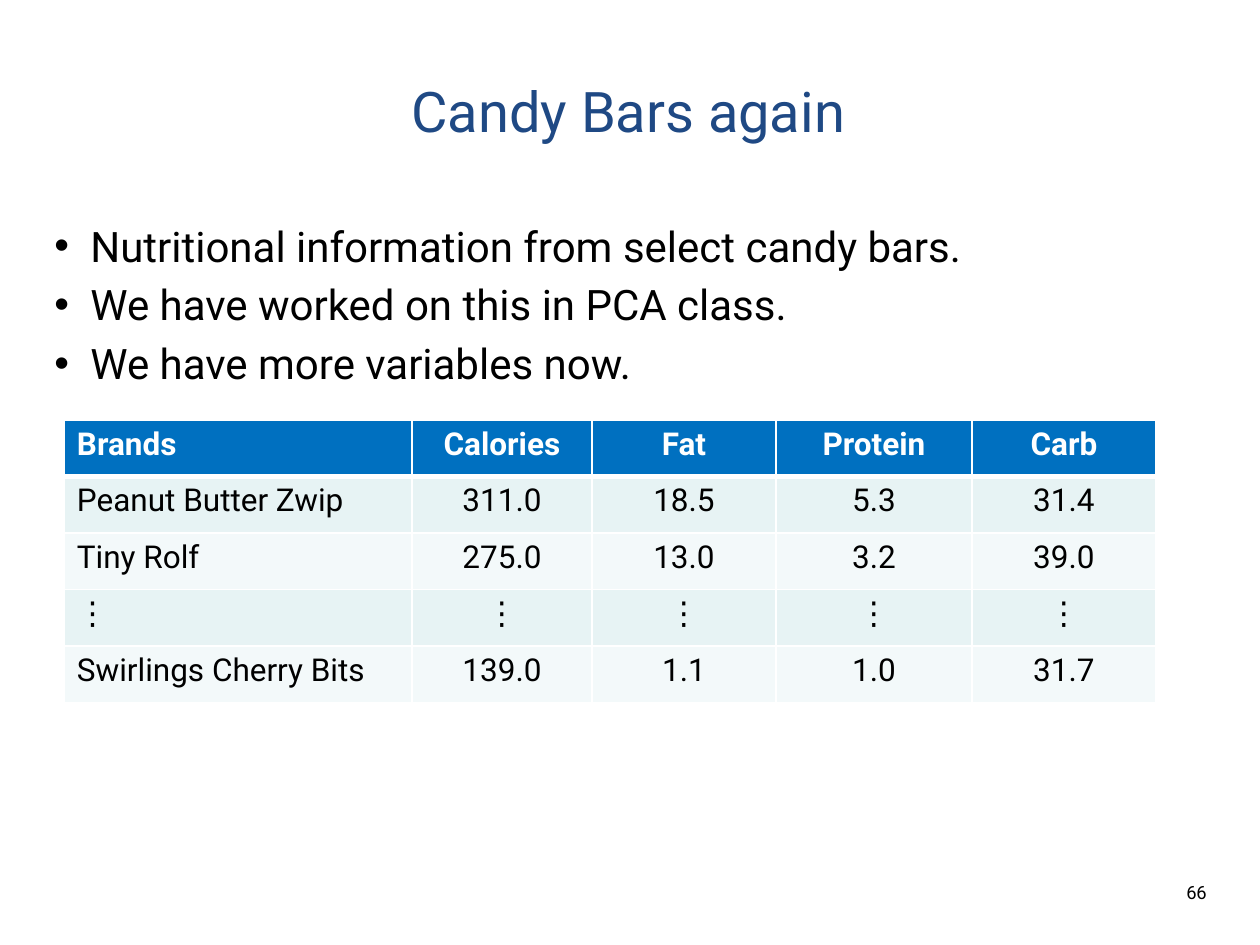
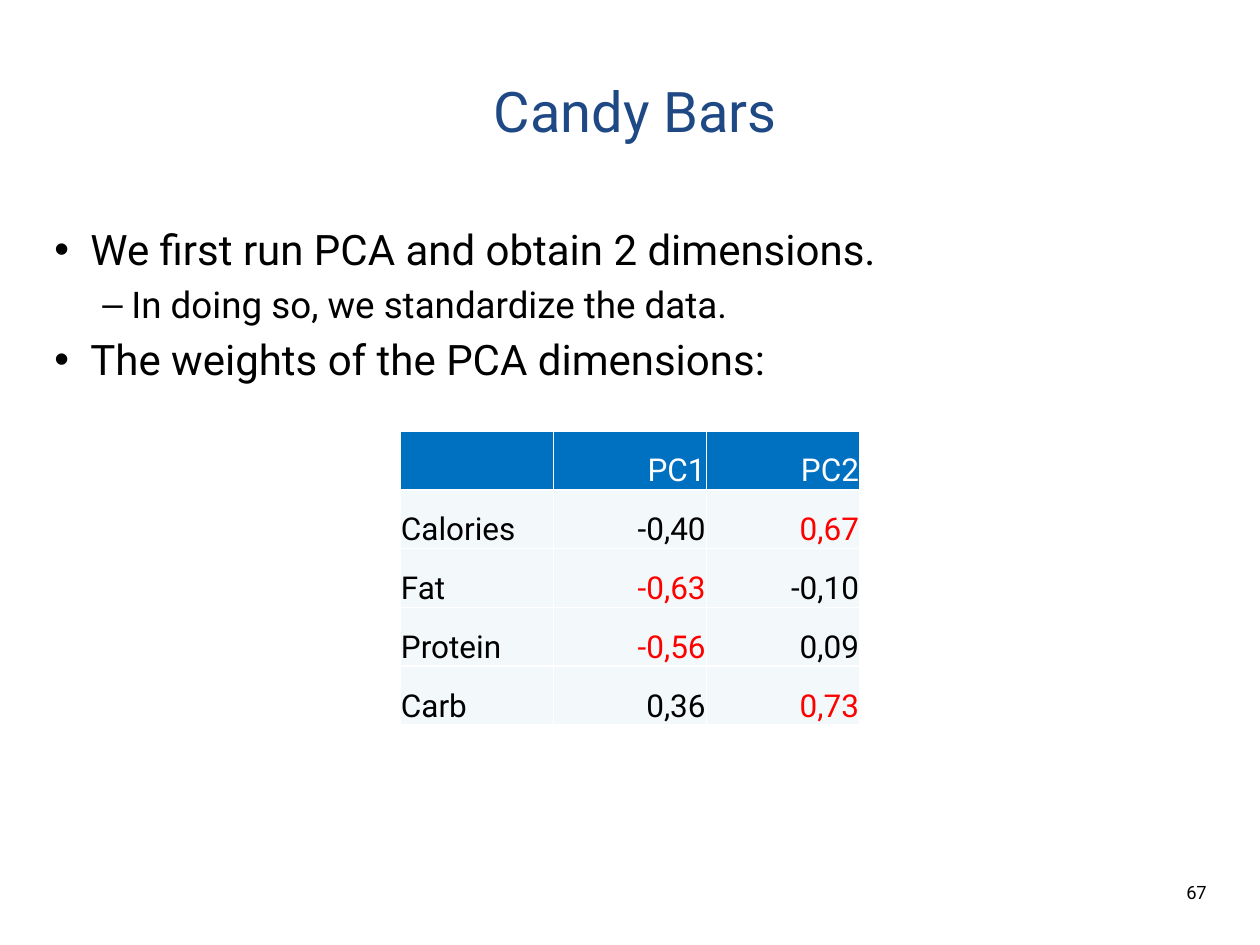
from lxml import etree
from pptx import Presentation
from pptx.dml.color import RGBColor
from pptx.enum.text import MSO_ANCHOR as ANCHOR, PP_ALIGN as ALIGN
from pptx.oxml.ns import qn
from pptx.util import Pt

PX = 914400 / 126
FONT = "Roboto"
COLORS = {
    "title": "1F4984",
    "text": "000000",
    "white": "FFFFFF",
    "header": "0070C0",
    "band": "E7F3F4",
    "pale": "F3F9FA",
    "strong": "FF0000",
}
TITLE_BOX = (42, 42, 1187, 137)
BODY_BOX = (42, 220, 1187, 168)
NUMBER_BOX = (1144, 861, 105, 63)
# Bullet level: character, left margin px, hanging px, size pt
LEVELS = [("•", 36, 36, 24), ("–", 77, 29, 21)]

CANDY_ROWS = [
    ["Brands", "Calories", "Fat", "Protein", "Carb"],
    ["Peanut Butter Zwip", "311.0", "18.5", "5.3", "31.4"],
    ["Tiny Rolf", "275.0", "13.0", "3.2", "39.0"],
    ["⋮"] * 5,
    ["Swirlings Cherry Bits", "139.0", "1.1", "1.0", "31.7"],
]
PCA_WEIGHTS = {
    "Calories": (-0.40, 0.67),
    "Fat": (-0.63, -0.10),
    "Protein": (-0.56, 0.09),
    "Carb": (0.36, 0.73),
}


def emu(px):
    return round(px * PX)


def rgb(name):
    return RGBColor.from_string(COLORS[name])


def write(p, text, size=18, color="text", bold=False, align=ALIGN.LEFT):
    p.alignment = align
    r = p.add_run()
    r.text = text
    r.font.name = FONT
    r.font.size = Pt(size)
    r.font.bold = bold
    r.font.color.rgb = rgb(color)


def add_text_frame(s, box):
    tf = s.shapes.add_textbox(*map(emu, box)).text_frame
    tf.vertical_anchor = ANCHOR.MIDDLE
    return tf


def add_bullets(s, box, items):
    """Write (level, text) pairs as a bulleted list."""
    tf = add_text_frame(s, box)
    tf.word_wrap = True
    tf.margin_right = 0
    for i, (level, text) in enumerate(items):
        char, left, hang, size = LEVELS[level]
        p = tf.paragraphs[0] if i == 0 else tf.add_paragraph()
        p.level = level
        pPr = p._p.get_or_add_pPr()
        pPr.set("marL", str(emu(left)))
        pPr.set("indent", str(-emu(hang)))
        etree.SubElement(pPr, qn("a:buFont")).set("typeface", "Arial")
        etree.SubElement(pPr, qn("a:buChar")).set("char", char)
        if i:
            p.space_before = Pt(0.2 * size)
        write(p, text, size=size)


def set_borders(cell, top=1, bottom=1):
    """Draw white cell borders; call before setting the fill."""
    tcPr = cell._tc.get_or_add_tcPr()
    for side, width in zip("LRTB", (1, 1, top, bottom)):
        ln = etree.SubElement(tcPr, qn(f"a:ln{side}"), w=str(Pt(width)))
        fill = etree.SubElement(ln, qn("a:solidFill"))
        etree.SubElement(fill, qn("a:srgbClr"), val=COLORS["white"])


def add_grid(s, box, widths, rows, style, margins, anchor, header_rule=1):
    """Add a table; style(row, column) gives the fill and the text format."""
    table = s.shapes.add_table(len(rows), len(widths), *map(emu, box)).table
    table.horz_banding = False
    for column, width in zip(table.columns, widths):
        column.width = emu(width)
    for i, row in enumerate(rows):
        table.rows[i].height = emu(box[3] / len(rows))
        for j, text in enumerate(row):
            cell = table.cell(i, j)
            set_borders(cell, top=header_rule if i == 1 else 1,
                        bottom=header_rule if i == 0 else 1)
            fill, text_format = style(i, j)
            cell.fill.solid()
            cell.fill.fore_color.rgb = rgb(fill)
            cell.vertical_anchor = anchor
            (cell.margin_left, cell.margin_top,
             cell.margin_right, cell.margin_bottom) = map(emu, margins)
            if text:
                write(cell.text_frame.paragraphs[0], text, **text_format)


def add_candy_table(s, box):
    def style(i, j):
        fill = "header" if i == 0 else ("pale", "band")[i % 2]
        return fill, dict(color="text" if i else "white", bold=i == 0,
                          align=ALIGN.CENTER if j else ALIGN.LEFT)

    add_grid(s, box, [348, 180, 184, 196, 184], CANDY_ROWS, style,
             margins=(13, 6, 13, 6), anchor=ANCHOR.TOP, header_rule=3)


def add_weights_table(s, box):
    """Tabulate the PCA weights, with the large ones in red."""
    weights = list(PCA_WEIGHTS.values())
    rows = [["", "PC1", "PC2"]]
    for variable, pair in PCA_WEIGHTS.items():
        rows.append([variable, *(f"{w:.2f}".replace(".", ",") for w in pair)])

    def style(i, j):
        align = ALIGN.RIGHT if j else ALIGN.LEFT
        if i == 0:
            return "header", dict(color="white", align=align)
        large = j > 0 and abs(weights[i - 1][j - 1]) > 0.5
        return "pale", dict(color="strong" if large else "text", align=align)

    add_grid(s, box, [box[2] / 3] * 3, rows, style,
             margins=(1, 1, 1, 0), anchor=ANCHOR.BOTTOM)


def add_slide(prs, title, number, bullets):
    """Add a slide with its title, bullets and slide number."""
    s = prs.slides.add_slide(prs.slide_layouts[5])
    sp = s.shapes.title
    sp.left, sp.top, sp.width, sp.height = map(emu, TITLE_BOX)
    sp.text_frame.vertical_anchor = ANCHOR.MIDDLE
    write(sp.text_frame.paragraphs[0], title, size=32, color="title",
          align=ALIGN.CENTER)
    add_bullets(s, BODY_BOX, bullets)
    tf = add_text_frame(s, NUMBER_BOX)
    tf.word_wrap = False
    write(tf.paragraphs[0], str(number), size=10.5, align=ALIGN.CENTER)
    return s


def main():
    prs = Presentation()
    prs.slide_width, prs.slide_height = emu(1260), emu(945)

    s = add_slide(prs, "Candy Bars again ", 66, [
        (0, "Nutritional information from select candy bars."),
        (0, "We have worked on this in PCA class."),
        (0, "We have more variables now."),
    ])
    add_candy_table(s, (64, 420, 1092, 283))

    s = add_slide(prs, "Candy Bars", 67, [
        (0, "We first run PCA and obtain 2 dimensions."),
        (1, "In doing so, we standardize the data."),
        (0, "The weights of the PCA dimensions:"),
    ])
    add_weights_table(s, (400, 431, 460, 294))

    prs.save("out.pptx")


if __name__ == "__main__":
    main()
